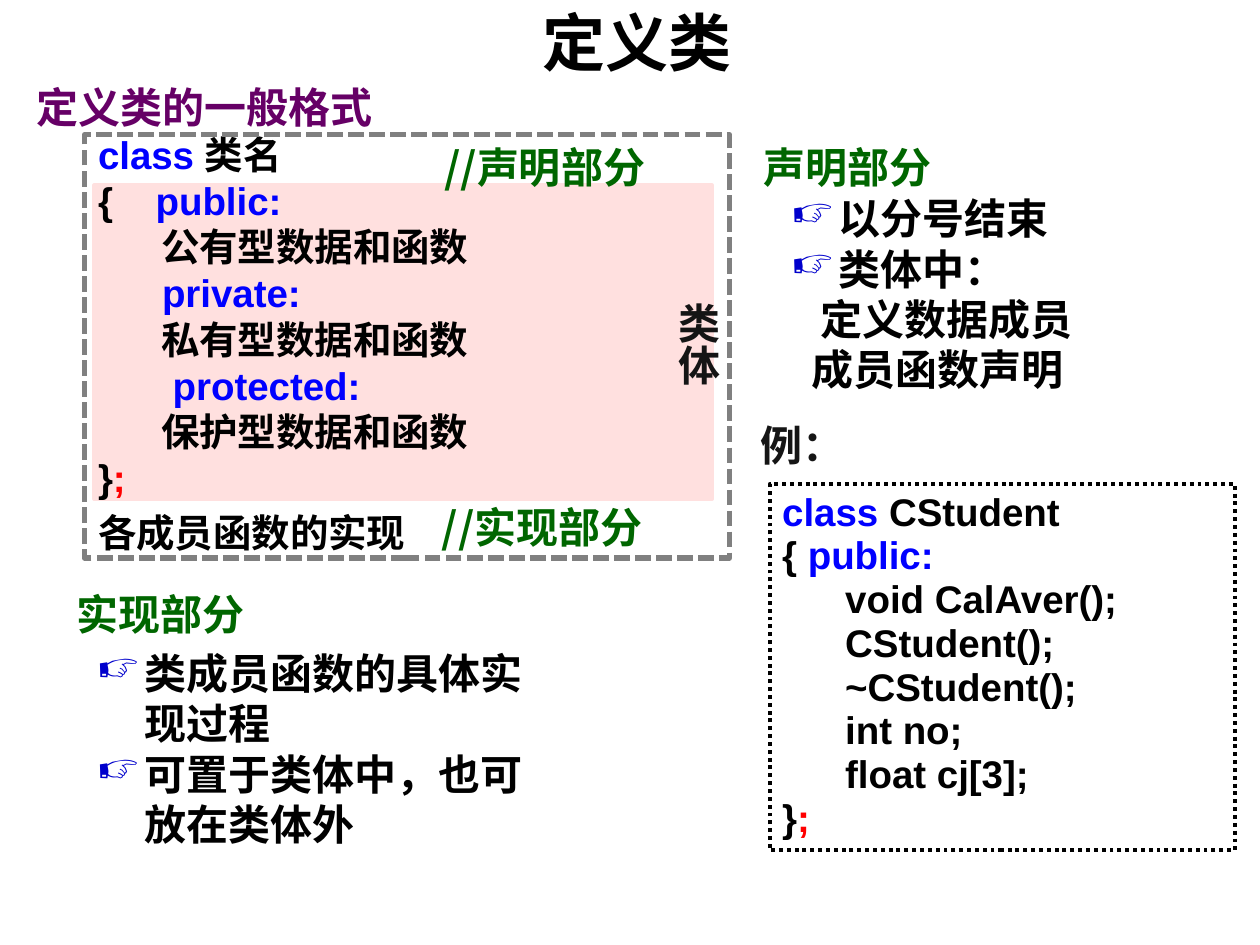
from pptx import Presentation
from pptx.dml.color import RGBColor
from pptx.enum.dml import MSO_LINE_DASH_STYLE as Dash
from pptx.enum.shapes import MSO_SHAPE as Shape
from pptx.enum.text import MSO_ANCHOR as Anchor, PP_ALIGN as Align
from pptx.oxml.ns import qn
from pptx.util import Inches, Pt
from lxml.etree import SubElement

BLACK = RGBColor(0, 0, 0)
DARK = RGBColor(0x15, 0x15, 0x15)
GRAY = RGBColor(0x80, 0x80, 0x80)
BLUE = RGBColor(0, 0, 0xFF)
BULLET_BLUE = RGBColor(0, 0, 0xCC)
RED = RGBColor(0xFF, 0, 0)
GREEN = RGBColor(0, 0x66, 0)
PURPLE = RGBColor(0x66, 0, 0x66)
PINK = RGBColor(0xFF, 0xE0, 0xDF)

CJK_FONT = "Noto Sans CJK SC"
CODE_FONT = "Arial"

CLASS_FORMAT = [
    [("class ", BLUE), ("类名", BLACK)],
    [("{    ", BLACK), ("public:", BLUE)],
    [("\t公有型数据和函数", BLACK)],
    [("      private:", BLUE)],
    [("\t私有型数据和函数", BLACK)],
    [("       protected:", BLUE)],
    [("\t保护型数据和函数", BLACK)],
    [("}", BLACK), (";", RED)],
]
STUDENT_CLASS = [
    [("class ", BLUE), ("CStudent", BLACK)],
    [("{", BLACK), (" public:", BLUE)],
    [("\tvoid CalAver();", BLACK)],
    [("\tCStudent();", BLACK)],
    [("\t~CStudent();", BLACK)],
    [("  \tint no;", BLACK)],
    [("\tfloat cj[3];", BLACK)],
    [("}", BLACK), (";", RED)],
]
LABELS = [
    (3.43, 1.07, 2.2, "//声明部分", GREEN),
    (3.41, 3.93, 2.2, "//实现部分", GREEN),
    (5.96, 1.07, 1.88, "声明部分", GREEN),
    (0.19, 0.6, 4.65, "定义类的一般格式", PURPLE),
    (0.51, 4.62, 2.36, "实现部分", GREEN),
    (5.94, 3.28, 1.88, "例：", DARK),
]


def style(paragraph, size, name=CJK_FONT):
    """Set a bold font for both Latin and East Asian text."""
    font = paragraph.font
    font.size, font.bold, font.name = Pt(size), True, name
    properties = paragraph._p.get_or_add_pPr().find(qn("a:defRPr"))
    SubElement(properties, qn("a:ea")).set("typeface", CJK_FONT)


def add_box(slide, left, top, width, height):
    box = slide.shapes.add_textbox(Inches(left), Inches(top), Inches(width), Inches(height))
    box.text_frame.word_wrap = True
    return box.text_frame


def paragraphs_for(frame, items):
    """Pair each item with a paragraph of the frame."""
    for index, item in enumerate(items):
        yield (frame.add_paragraph() if index else frame.paragraphs[0]), item


def add_text(frame, text, color, size=24):
    paragraph = frame.paragraphs[0]
    paragraph.add_run().text = text
    style(paragraph, size)
    paragraph.font.color.rgb = color
    return paragraph


def write_code(frame, lines, spacing=None):
    for paragraph, runs in paragraphs_for(frame, lines):
        paragraph.alignment = Align.LEFT
        paragraph.line_spacing = spacing
        for text, color in runs:
            run = paragraph.add_run()
            run.text = text
            run.font.color.rgb = color
        style(paragraph, 22, CODE_FONT)


def indent(paragraph, left, bullet=False):
    properties = paragraph._p.get_or_add_pPr()
    properties.set("marL", str(Inches(left)))
    properties.set("indent", str(-Inches(left) if bullet else 0))
    if bullet:
        color = SubElement(properties, qn("a:buClr"))
        SubElement(color, qn("a:srgbClr")).set("val", str(BULLET_BLUE))
        SubElement(properties, qn("a:buChar")).set("char", "☞")


def write_list(frame, items):
    """Write (text, left indent, has bullet) items."""
    for paragraph, (text, left, bullet) in paragraphs_for(frame, items):
        indent(paragraph, left, bullet)
        paragraph.add_run().text = text
        style(paragraph, 24)
        paragraph.font.color.rgb = BLACK


def add_panel(slide, kind, left, top, width, height, line, weight, fill=None, dash=None):
    panel = slide.shapes.add_shape(kind, Inches(left), Inches(top), Inches(width), Inches(height))
    panel.shadow.inherit = False
    if fill is None:
        panel.fill.background()
    else:
        panel.fill.solid()
        panel.fill.fore_color.rgb = fill
    panel.line.color.rgb = line
    panel.line.width = Pt(weight)
    if dash is not None:
        panel.line.dash_style = dash
    return panel


def main():
    presentation = Presentation()
    presentation.slide_width, presentation.slide_height = Inches(10), Inches(7.5)
    slide = presentation.slides.add_slide(presentation.slide_layouts[6])

    class_body = add_panel(slide, Shape.PENTAGON, 0.75, 1.47, 4.9, 2.49, PINK, 2.25, fill=PINK)
    class_body.adjustments[0] = 0

    title = add_box(slide, 0.81, -0.03, 8.5, 0.71)
    title.vertical_anchor = Anchor.BOTTOM
    add_text(title, "定义类", BLACK, 36).alignment = Align.CENTER

    write_code(add_box(slide, 0.68, 0.99, 4.96, 3.06), CLASS_FORMAT)
    write_code(add_box(slide, 0.68, 3.99, 4.96, 0.47), [[("各成员函数的实现", BLACK)]])
    add_panel(slide, Shape.RECTANGLE, 0.67, 1.07, 5.12, 3.36, GRAY, 3, dash=Dash.SQUARE_DOT)

    example = add_panel(slide, Shape.RECTANGLE, 6.11, 3.84, 3.69, 2.91, BLACK, 2.25,
                        dash=Dash.ROUND_DOT)
    example.text_frame.vertical_anchor = Anchor.TOP
    write_code(example.text_frame, STUDENT_CLASS, Pt(25))

    for left, top, width, text, color in LABELS:
        add_text(add_box(slide, left, top, width, 0.51), text, color)

    body_label = add_box(slide, 5.18, 2.3, 0.61, 1.18)
    body_label._txBody.bodyPr.set("vert", "eaVert")
    add_text(body_label, "类体", DARK)

    write_list(add_box(slide, 6.18, 1.48, 3.62, 1.72), [
        ("以分号结束", 0.38, True),
        ("类体中：", 0.38, True),
        ("定义数据成员", 0.23, False),
        ("成员函数声明", 0.16, False),
    ])
    write_list(add_box(slide, 0.67, 5.09, 3.73, 1.72), [
        ("类成员函数的具体实现过程", 0.38, True),
        ("可置于类体中，也可放在类体外", 0.38, True),
    ])
    presentation.save("out.pptx")


if __name__ == "__main__":
    main()
